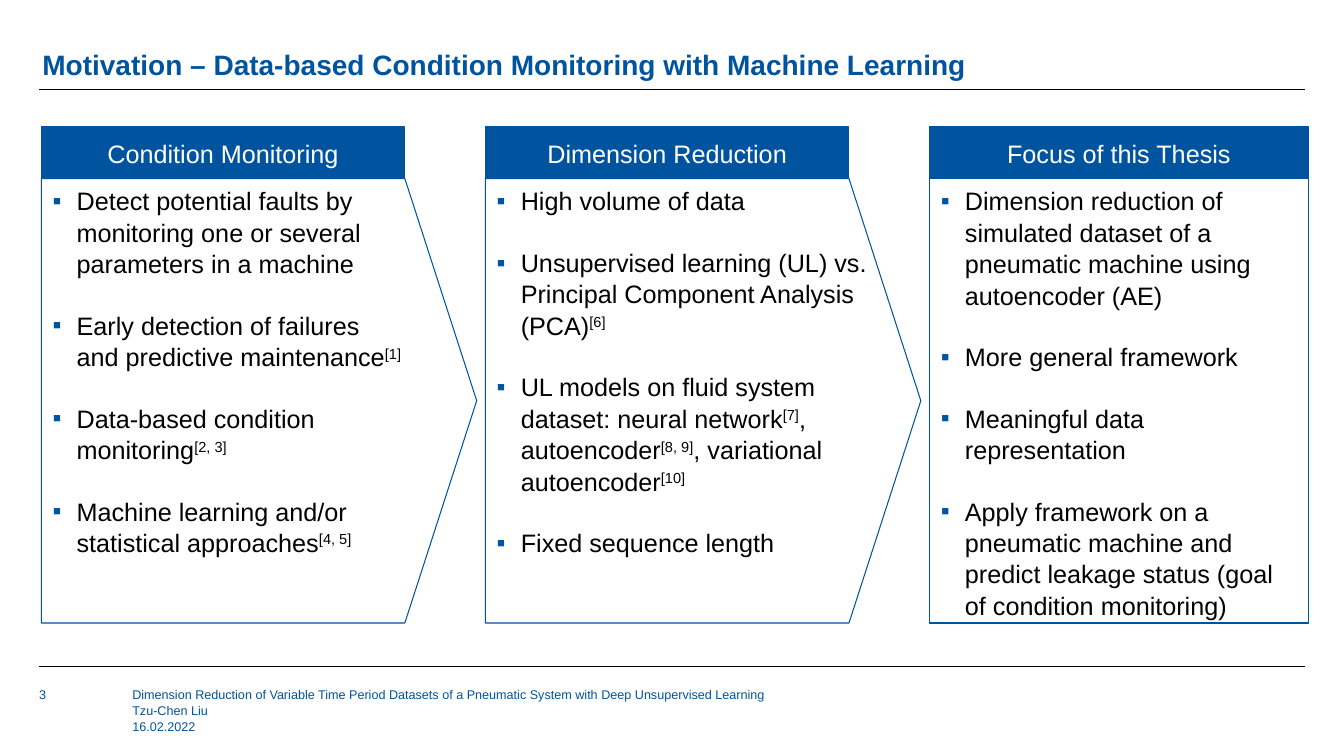
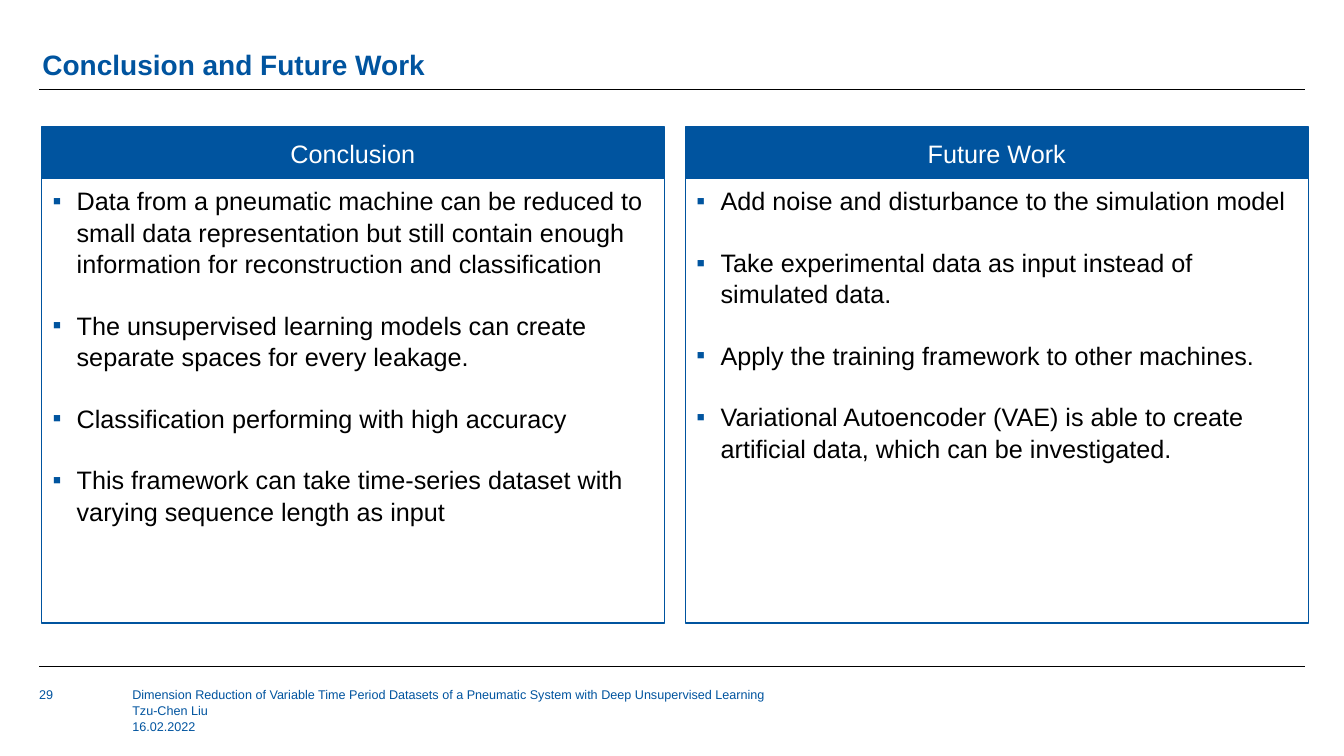
from lxml import etree
from pptx import Presentation
from pptx.dml.color import RGBColor
from pptx.enum.shapes import MSO_CONNECTOR, MSO_SHAPE
from pptx.enum.text import MSO_ANCHOR, PP_ALIGN
from pptx.oxml.ns import qn
from pptx.util import Pt

BLUE = RGBColor(0x00, 0x54, 0x9F)
BLACK = RGBColor(0x00, 0x00, 0x00)
WHITE = RGBColor(0xFF, 0xFF, 0xFF)
RECTANGLE = MSO_SHAPE.RECTANGLE
PENTAGON = MSO_SHAPE.PENTAGON
STRAIGHT = MSO_CONNECTOR.STRAIGHT
TOP, MIDDLE, BOTTOM = MSO_ANCHOR.TOP, MSO_ANCHOR.MIDDLE, MSO_ANCHOR.BOTTOM
LEFT, CENTER = PP_ALIGN.LEFT, PP_ALIGN.CENTER

FONT = "Arial"
LINE_SPACING = 1.04
CONTENT_LEFT = 29.5
CONTENT_WIDTH = 905
HEADER_TOP = 90.75
HEADER_HEIGHT = 36.75
BODY_TOP = HEADER_TOP + HEADER_HEIGHT
BODY_HEIGHT = 317.5
BULLET_INDENT = 17.25
BULLET_GAP = 21.5
ARROW_TIP = 0.165
FOOTER = (
    "Dimension Reduction of Variable Time Period Datasets of a Pneumatic System with Deep Unsupervised Learning",
    "Tzu-Chen Liu",
    "16.02.2022",
)


class Deck:
    """Hold the shared style and the current slide."""

    def __init__(self):
        """Create an empty widescreen presentation."""
        self.presentation = Presentation()
        self.presentation.slide_width = Pt(960)
        self.presentation.slide_height = Pt(540)
        self.slide = None

    def start_slide(self, title, number):
        """Add a slide with its title, rules and footer."""
        self.slide = self.presentation.slides.add_slide(self.presentation.slide_layouts[6])
        self.add_text(30.25, 16, 904.5, 42.5, [title], 20, bold=True, spacing=0.9, anchor=BOTTOM)
        for top in (64, 476):
            self.add_rule(top)
        self.add_text(28, 490.5, 57.5, 31, [str(number)], 9)
        self.add_text(94.5, 490.5, 551.5, 49.5, FOOTER, 9)

    def add_rule(self, top):
        """Draw a thin horizontal rule across the slide."""
        rule = self.slide.shapes.add_connector(STRAIGHT, Pt(28), Pt(top), Pt(932.5), Pt(top))
        rule.line.color.rgb = BLACK
        rule.line.width = Pt(0.5)
        etree.SubElement(rule._element.spPr, qn("a:effectLst"))

    def set_frame(self, frame, anchor, margins):
        """Set wrapping, anchor and the four margins of a text frame."""
        frame.word_wrap = True
        frame.vertical_anchor = anchor
        frame.margin_left, frame.margin_top, frame.margin_right, frame.margin_bottom = map(Pt, margins)

    def add_paragraph(self, frame, index, alignment, spacing):
        """Return the first paragraph or a new one, with its layout set."""
        paragraph = frame.add_paragraph() if index else frame.paragraphs[0]
        paragraph.alignment = alignment
        paragraph.line_spacing = spacing
        return paragraph

    def add_run(self, paragraph, text, size, color, bold=False, superscript=False):
        """Append one styled run to a paragraph."""
        run = paragraph.add_run()
        run.text = text
        run.font.name = FONT
        run.font.size = Pt(size)
        run.font.color.rgb = color
        run.font.bold = bold
        if superscript:
            run._r.get_or_add_rPr().set("baseline", "30000")

    def add_text(self, left, top, width, height, lines, size, bold=False, spacing=LINE_SPACING, anchor=TOP):
        """Add a blue text box with one paragraph per line."""
        box = self.slide.shapes.add_textbox(Pt(left), Pt(top), Pt(width), Pt(height))
        self.set_frame(box.text_frame, anchor, (0, 0, 0, 0))
        for index, line in enumerate(lines):
            paragraph = self.add_paragraph(box.text_frame, index, LEFT, spacing)
            self.add_run(paragraph, line, size, BLUE, bold)

    def add_box(self, kind, left, top, width, height, fill, line_width):
        """Add a blue-outlined shape without shadow."""
        shape = self.slide.shapes.add_shape(kind, Pt(left), Pt(top), Pt(width), Pt(height))
        shape.shadow.inherit = False
        shape.fill.solid()
        shape.fill.fore_color.rgb = fill
        shape.line.color.rgb = BLUE
        shape.line.width = Pt(line_width)
        return shape

    def add_bullets(self, frame, items):
        """Fill a frame with bullets; every second part of an item is superscript."""
        for index, parts in enumerate(items):
            paragraph = self.add_paragraph(frame, index, LEFT, LINE_SPACING)
            if index:
                paragraph.space_before = Pt(BULLET_GAP)
            properties = paragraph._p.get_or_add_pPr()
            properties.set("marL", str(Pt(BULLET_INDENT)))
            properties.set("indent", str(-Pt(BULLET_INDENT)))
            bullet_color = etree.SubElement(properties, qn("a:buClr"))
            etree.SubElement(bullet_color, qn("a:srgbClr"), val=str(BLUE))
            etree.SubElement(properties, qn("a:buFont"), typeface=FONT)
            etree.SubElement(properties, qn("a:buChar"), char="▪")
            for position, text in enumerate(parts):
                self.add_run(paragraph, text, 18, BLACK, superscript=position % 2 == 1)

    def add_panel(self, left, width, heading, items, arrow_width=None, margin_right=8):
        """Add a headed panel, whose body is an arrow if an arrow width is given."""
        kind, line_width = (PENTAGON, 0.75) if arrow_width else (RECTANGLE, 1)
        body = self.add_box(kind, left, BODY_TOP, arrow_width or width, BODY_HEIGHT, WHITE, line_width)
        if arrow_width:
            body.adjustments[0] = ARROW_TIP
        self.set_frame(body.text_frame, TOP, (8, 4.25, margin_right, 4.25))
        self.add_bullets(body.text_frame, items)
        header = self.add_box(RECTANGLE, left, HEADER_TOP, width, HEADER_HEIGHT, BLUE, 0.75)
        self.set_frame(header.text_frame, MIDDLE, (7.25, 3.5, 7.25, 3.5))
        paragraph = self.add_paragraph(header.text_frame, 0, CENTER, LINE_SPACING)
        self.add_run(paragraph, heading, 18, WHITE)


def add_motivation(deck):
    """Build the motivation slide."""
    deck.start_slide("Motivation – Data-based Condition Monitoring with Machine Learning", 3)
    pitch, header_width, arrow_width = 317.25, 259.5, 311
    deck.add_panel(CONTENT_LEFT, header_width, "Condition Monitoring", [
        ("Detect potential faults by monitoring one or several parameters in a machine",),
        ("Early detection of failures and predictive maintenance", "[1]"),
        ("Data-based condition monitoring", "[2, 3]"),
        ("Machine learning and/or statistical approaches", "[4, 5]"),
    ], arrow_width, margin_right=25)
    deck.add_panel(CONTENT_LEFT + pitch, header_width, "Dimension Reduction", [
        ("High volume of data",),
        ("Unsupervised learning (UL) vs. Principal Component Analysis (PCA)", "[6]"),
        ("UL models on fluid system dataset: neural network", "[7]", ", autoencoder", "[8, 9]",
         ", variational autoencoder", "[10]"),
        ("Fixed sequence length",),
    ], arrow_width)
    deck.add_panel(CONTENT_LEFT + 2 * pitch, CONTENT_WIDTH - 2 * pitch, "Focus of this Thesis", [
        ("Dimension reduction of simulated dataset of a pneumatic machine using autoencoder (AE)",),
        ("More general framework",),
        ("Meaningful data representation",),
        ("Apply framework on a pneumatic machine and predict leakage status (goal of condition monitoring)",),
    ])


def add_conclusion(deck):
    """Build the conclusion slide."""
    deck.start_slide("Conclusion and Future Work", 29)
    gap = 15
    width = (CONTENT_WIDTH - gap) / 2
    deck.add_panel(CONTENT_LEFT, width, "Conclusion", [
        ("Data from a pneumatic machine can be reduced to small data representation but still contain "
         "enough information for reconstruction and classification",),
        ("The unsupervised learning models can create separate spaces for every leakage.",),
        ("Classification performing with high accuracy",),
        ("This framework can take time-series dataset with varying sequence length as input",),
    ])
    deck.add_panel(CONTENT_LEFT + width + gap, width, "Future Work", [
        ("Add noise and disturbance to the simulation model",),
        ("Take experimental data as input instead of simulated data.",),
        ("Apply the training framework to other machines.",),
        ("Variational Autoencoder (VAE) is able to create artificial data, which can be investigated.",),
    ])


def main():
    """Build and save the presentation."""
    deck = Deck()
    add_motivation(deck)
    add_conclusion(deck)
    deck.presentation.save("out.pptx")


if __name__ == "__main__":
    main()
